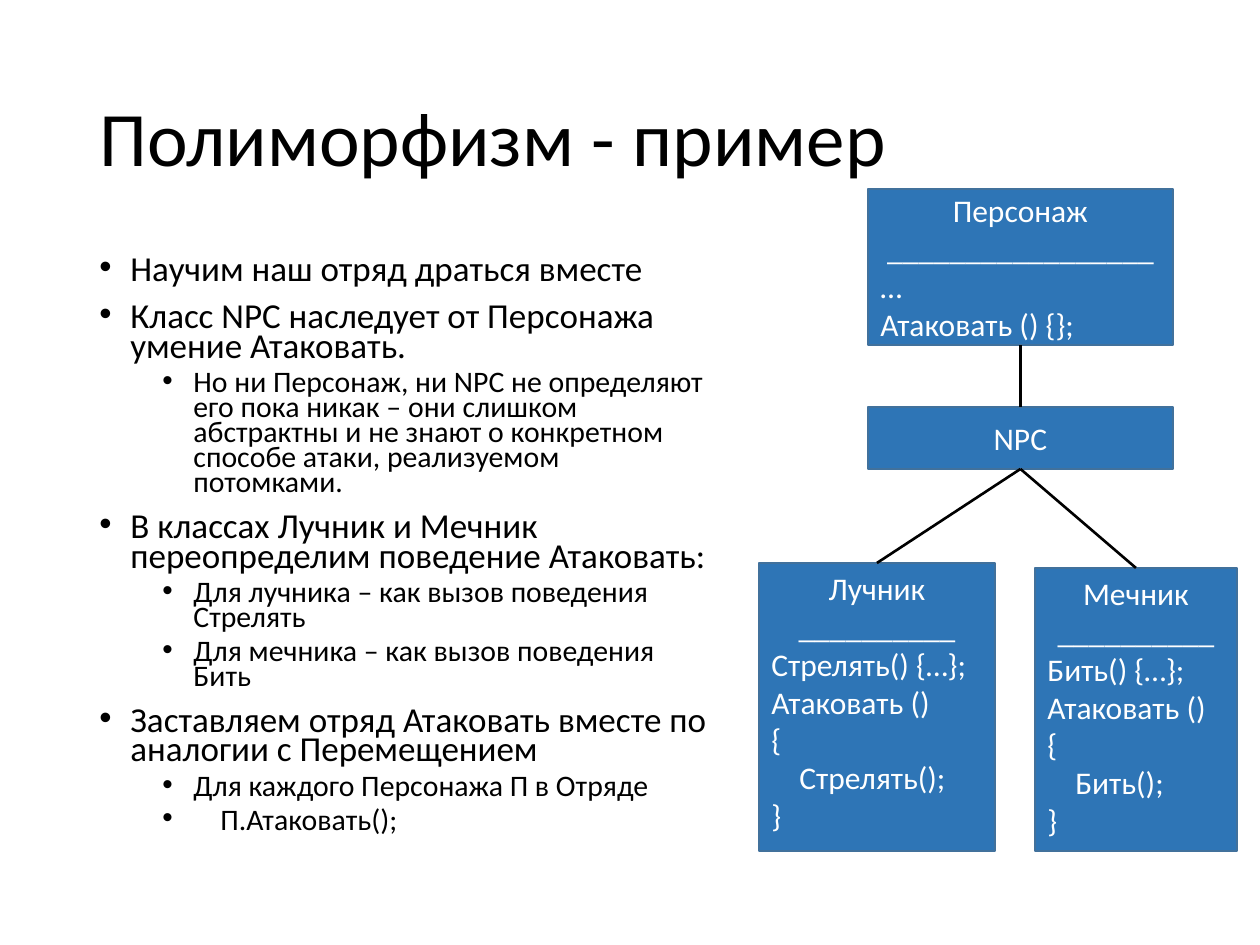
from lxml.etree import SubElement
from pptx import Presentation
from pptx.dml.color import RGBColor
from pptx.enum.shapes import MSO_CONNECTOR as CONN, MSO_SHAPE as SHAPE
from pptx.enum.text import MSO_ANCHOR as ANCHOR, PP_ALIGN as ALIGN
from pptx.oxml.ns import qn
from pptx.util import Emu, Pt

PX = 914400 // 126
FONT = "Calibri"
COLORS = {"text": "000000", "box": "2E75B6", "border": "41719C", "box_text": "FFFFFF"}

TITLE = "Полиморфизм - пример"
TITLE_AT = (87, 50, 1087, 183)
BODY_AT = (87, 252, 637, 600)

# level, text
BULLETS = [
    (0, "Научим наш отряд драться вместе"),
    (0, "Класс NPC наследует от Персонажа умение Атаковать."),
    (1, "Но ни Персонаж, ни NPC не определяют его пока никак – они слишком "
        "абстрактны и не знают о конкретном способе атаки, реализуемом потомками."),
    (0, "В классах Лучник и Мечник переопределим поведение Атаковать:"),
    (1, "Для лучника – как вызов поведения Стрелять"),
    (1, "Для мечника – как вызов поведения Бить"),
    (0, "Заставляем отряд Атаковать вместе по аналогии с Перемещением"),
    (1, "Для каждого Персонажа П в Отряде"),
    (2, "П.Атаковать();"),
]
# size in pt, space before in pt, text margin and hanging indent in px
LEVELS = [(20, 10, 31, 31), (17, 5, 94, 31), (17, 5, 121, 58)]


def attack_code(action):
    """Members of a class that overrides the attack; (indent in px, text)."""
    return [(0, f"{action}() {{…}};"), (0, "Атаковать ()\v{"),
            (28, f"{action}();"), (0, "}")]


# name: (place, anchor, centred lines, code lines)
CLASSES = {
    "Персонаж": ((868, 189, 305, 156), ANCHOR.MIDDLE, ["_" * 17],
                 [(0, "…"), (0, "Атаковать () {};")]),
    "NPC": ((868, 407, 305, 62), ANCHOR.MIDDLE, [], []),
    "Лучник": ((759, 563, 236, 288), ANCHOR.TOP, ["_" * 10], attack_code("Стрелять")),
    "Мечник": ((1035, 568, 202, 283), ANCHOR.TOP, ["_" * 10], attack_code("Бить")),
}
INHERITS = [("NPC", "Персонаж"), ("Лучник", "NPC"), ("Мечник", "NPC")]


def px(*values):
    return [Emu(v * PX) for v in values]


def rgb(name):
    return RGBColor.from_string(COLORS[name])


def add_text(tf, text, size, color="text", align=ALIGN.LEFT, spacing=None,
             before=0, margin=0, hang=0, bullet=False):
    """Fill the first paragraph if it is empty, otherwise append one."""
    p = tf.paragraphs[-1]
    if p.runs:
        p = tf.add_paragraph()
    p.text = text
    p.alignment = align
    p.space_before = Pt(before)
    if spacing:
        p.line_spacing = spacing
    pPr = p._p.get_or_add_pPr()
    pPr.set("marL", str(margin * PX))
    pPr.set("indent", str(-hang * PX))
    if bullet:
        SubElement(pPr, qn("a:buFont"), typeface="Arial")
        SubElement(pPr, qn("a:buChar"), char="•")
    for r in p.runs:
        r.font.size = Pt(size)
        r.font.name = FONT
        r.font.color.rgb = rgb(color)


def add_frame(slide, place, anchor=ANCHOR.TOP):
    tf = slide.shapes.add_textbox(*px(*place)).text_frame
    tf.word_wrap = True
    tf.vertical_anchor = anchor
    return tf


def add_class(slide, name, place, anchor, centred, code):
    sp = slide.shapes.add_shape(SHAPE.RECTANGLE, *px(*place))
    sp.shadow.inherit = False
    sp.fill.solid()
    sp.fill.fore_color.rgb = rgb("box")
    sp.line.color.rgb = rgb("border")
    sp.line.width = Pt(1)
    tf = sp.text_frame
    tf.word_wrap = True
    tf.vertical_anchor = anchor
    for line in [name, *centred]:
        add_text(tf, line, 18, "box_text", ALIGN.CENTER)
    for margin, line in code:
        add_text(tf, line, 18, "box_text", margin=margin)
    return sp


def add_link(slide, child, parent):
    line = slide.shapes.add_connector(CONN.STRAIGHT, 0, 0, 0, 0)
    line.begin_connect(child, 0)
    line.end_connect(parent, 2)
    line.line.color.rgb = rgb("text")
    line.line.width = Pt(1.5)
    SubElement(line._element.spPr, qn("a:effectLst"))


def main():
    prs = Presentation()
    prs.slide_width, prs.slide_height = px(1260, 945)
    slide = prs.slides.add_slide(prs.slide_layouts[6])

    add_text(add_frame(slide, TITLE_AT, ANCHOR.MIDDLE), TITLE, 44, spacing=0.9)

    body = add_frame(slide, BODY_AT)
    for level, text in BULLETS:
        size, before, margin, hang = LEVELS[level]
        add_text(body, text, size, spacing=0.7, before=before,
                 margin=margin, hang=hang, bullet=True)

    boxes = {name: add_class(slide, name, *parts) for name, parts in CLASSES.items()}
    for child, parent in INHERITS:
        add_link(slide, boxes[child], boxes[parent])

    prs.save("out.pptx")


if __name__ == "__main__":
    main()
